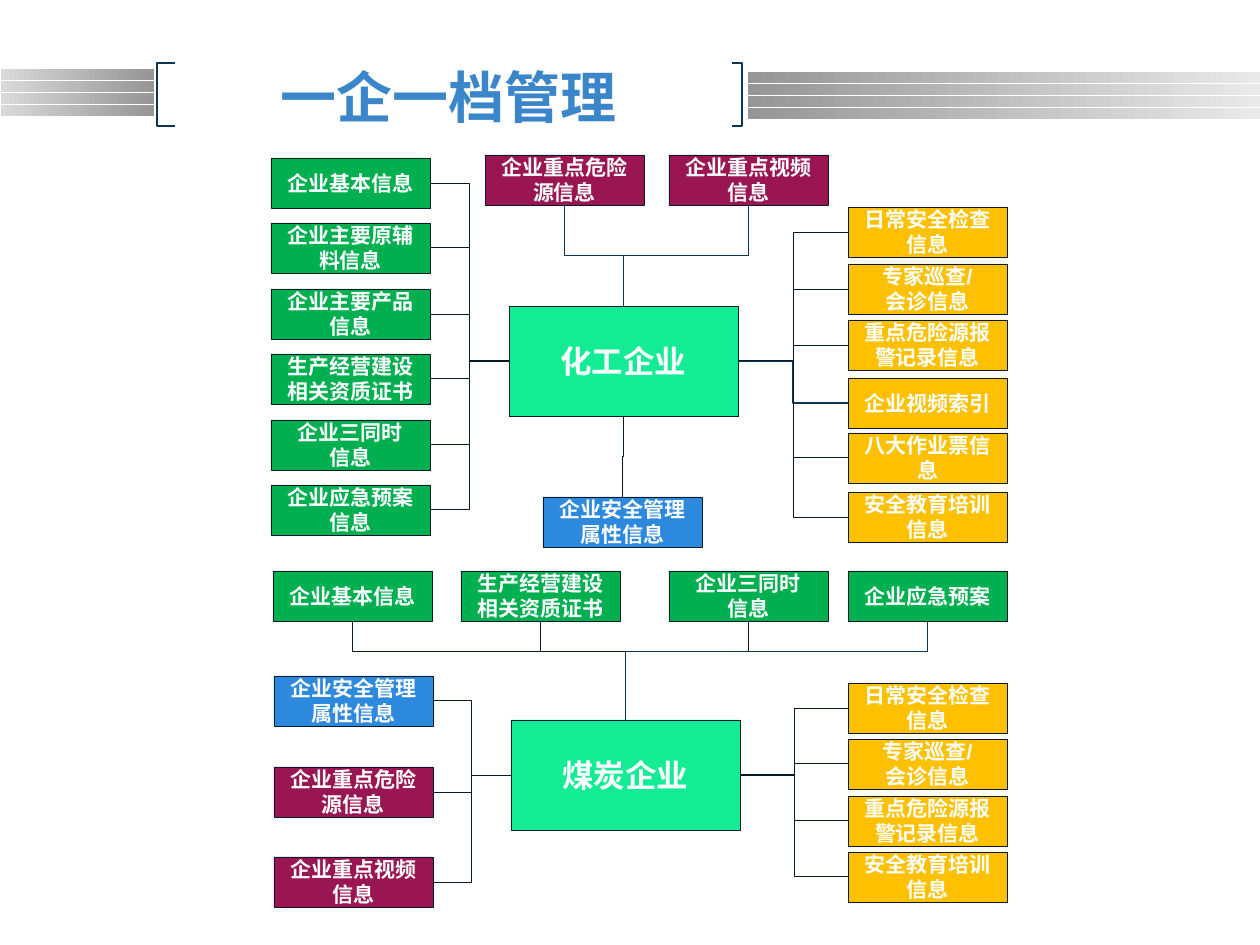
from lxml import etree
from pptx import Presentation
from pptx import util as u
from pptx.dml.color import RGBColor
from pptx.enum import shapes, text
from pptx.oxml.ns import qn

PX = 914400 / 126  # EMU per px

WHITE = RGBColor(0xFF, 0xFF, 0xFF)
TITLE_BLUE = RGBColor(0x3B, 0x86, 0xCB)
MINT = RGBColor(0x14, 0xEC, 0x95)
GREEN = RGBColor(0x00, 0xB0, 0x50)
AMBER = RGBColor(0xFF, 0xC0, 0x00)
BLUE = RGBColor(0x2C, 0x89, 0xDD)
WINE = RGBColor(0x9A, 0x16, 0x52)
INK = RGBColor(0x07, 0x1A, 0x2C)
NAVY = RGBColor(0x0C, 0x34, 0x58)
BRACKET = RGBColor(0x0E, 0x35, 0x58)
PALE = RGBColor(0xD9, 0xD9, 0xD9)
PALEST = RGBColor(0xE9, 0xE9, 0xE9)
GREY = RGBColor(0x96, 0x96, 0x96)

THIN = (INK, 0.5)
HEAVY = (NAVY, 0.75)

# Connection sites (item, hub) for each side of a hub: 0 top, 1 left, 2 bottom, 3 right
SITES = {"left": (3, 1), "right": (1, 3), "top": (2, 0), "bottom": (0, 2)}


def px(n):
    return u.Emu(round(n * PX))


def write(tf, words, size, font="Arial", color=WHITE):
    tf.word_wrap = True
    tf.vertical_anchor = text.MSO_ANCHOR.MIDDLE
    p = tf.paragraphs[0]
    p.text = words
    p.alignment = text.PP_ALIGN.CENTER
    for r in p.runs:
        r.font.size = u.Pt(size)
        r.font.bold = True
        r.font.color.rgb = color
        r.font.name = font
        etree.SubElement(r._r.get_or_add_rPr(), qn("a:ea")).set("typeface", font)


def rect(s, x, y, w, h):
    sp = s.shapes.add_shape(shapes.MSO_SHAPE.RECTANGLE, px(x), px(y), px(w), px(h))
    sp.shadow.inherit = False
    return sp


def node(s, words, fill, x, y, w=159, h=50, size=12):
    sp = rect(s, x, y, w, h)
    sp.fill.solid()
    sp.fill.fore_color.rgb = fill
    sp.line.color.rgb = INK
    sp.line.width = u.Pt(0.25)
    write(sp.text_frame, words, size)
    return sp


def hub(s, words, x, y):
    return node(s, words, MINT, x, y, 229, 110, 18)


def stripes(s, x, y, w, start, end):
    for i in range(4):
        sp = rect(s, x, y + 12 * i, w, 11)
        sp.line.fill.background()
        sp.fill.gradient()
        sp.fill.gradient_angle = 0
        for stop, color, place in zip(sp.fill.gradient_stops, (start, end), (0, 1)):
            stop.color.rgb = color
            stop.position = place


def bracket(s, tip, spine, top=63, bottom=126):
    fb = s.shapes.build_freeform(tip, top, scale=PX)
    fb.add_line_segments([(spine, top), (spine, bottom), (tip, bottom)], close=False)
    sp = fb.convert_to_shape()
    sp.shadow.inherit = False
    sp.fill.background()
    sp.line.color.rgb = BRACKET
    sp.line.width = u.Pt(0.75)


def turn_upright(c):
    """Make an elbow leave and arrive vertically."""
    x1, y1, x2, y2 = c.begin_x, c.begin_y, c.end_x, c.end_y
    w, h = abs(y2 - y1), abs(x2 - x1)
    c.left, c.top = (x1 + x2 - w) // 2, (y1 + y2 - h) // 2
    c.width, c.height = w, h
    right = x2 >= x1
    xfrm = c._element.spPr.find(qn("a:xfrm"))
    xfrm.set("rot", "16200000" if right else "5400000")
    xfrm.set("flipH", "1" if (y2 > y1) == right else "0")
    xfrm.set("flipV", "0")


def link(s, item, target, side, style=THIN, bend=50):
    c = s.shapes.add_connector(shapes.MSO_CONNECTOR.ELBOW, 0, 0, 0, 0)
    start, end = SITES[side]
    c.begin_connect(item, start)
    c.end_connect(target, end)
    if side in ("top", "bottom"):
        turn_upright(c)
    c.line.color.rgb = style[0]
    c.line.width = u.Pt(style[1])
    spPr = c._element.spPr
    etree.SubElement(spPr, qn("a:effectLst"))
    guides = spPr.find(qn("a:prstGeom")).get_or_add_avLst()
    etree.SubElement(guides, qn("a:gd"), name="adj1", fmla=f"val {bend * 1000}")


def branch(s, target, side, items, bend=50):
    """Items are (words, fill, x, y), with a line style last where it is not thin."""
    for words, fill, x, y, *style in items:
        link(s, node(s, words, fill, x, y), target, side, *style, bend=bend)


def header(s):
    stripes(s, 1, 69, 153, PALE, GREY)
    bracket(s, 175, 157)
    stripes(s, 748, 72, 512, GREY, PALEST)
    bracket(s, 732, 742)
    title = s.shapes.title
    title.left, title.top, title.width, title.height = map(px, (165, 63, 567, 67))
    write(title.text_frame, "一企一档管理", 32, "Noto Sans CJK SC", TITLE_BLUE)


def chemical(s):
    center = hub(s, "化工企业", 509, 306)
    profile = ["企业基本信息", "企业主要原辅料信息", "企业主要产品信息",
               "生产经营建设相关资质证书", "企业三同时\v信息", "企业应急预案信息"]
    branch(s, center, "left",
           [(t, GREEN, 271, round(158 + 65.4 * i)) for i, t in enumerate(profile)])
    branch(s, center, "right", [
        ("日常安全检查信息", AMBER, 848, 207),
        ("专家巡查/\v会诊信息", AMBER, 848, 264),
        ("重点危险源报警记录信息", AMBER, 848, 320),
        ("企业视频索引", AMBER, 848, 378, HEAVY),
        ("八大作业票信息", AMBER, 848, 433),
        ("安全教育培训信息", AMBER, 848, 492),
    ])
    branch(s, center, "top", [
        ("企业重点危险源信息", WINE, 485, 155, HEAVY),
        ("企业重点视频信息", WINE, 669, 155, HEAVY),
    ])
    branch(s, center, "bottom", [("企业安全管理属性信息", BLUE, 543, 497)])


def coal(s):
    center = hub(s, "煤炭企业", 511, 720)
    branch(s, center, "top", [
        ("企业基本信息", GREEN, 273, 571),
        ("生产经营建设相关资质证书", GREEN, 461, 571),
        ("企业三同时\v信息", GREEN, 669, 571),
        ("企业应急预案", GREEN, 848, 571, HEAVY),
    ], bend=31)
    branch(s, center, "left", [
        ("企业安全管理属性信息", BLUE, 274, 676),
        ("企业重点危险源信息", WINE, 274, 767),
        ("企业重点视频信息", WINE, 274, 857),
    ])
    checks = ["日常安全检查信息", "专家巡查/\v会诊信息",
              "重点危险源报警记录信息", "安全教育培训信息"]
    branch(s, center, "right",
           [(t, AMBER, 848, round(683 + 56.4 * i)) for i, t in enumerate(checks)])


def main():
    prs = Presentation()
    prs.slide_width, prs.slide_height = px(1260), px(945)
    s = prs.slides.add_slide(prs.slide_layouts[5])
    header(s)
    chemical(s)
    coal(s)
    prs.save("out.pptx")


if __name__ == "__main__":
    main()
